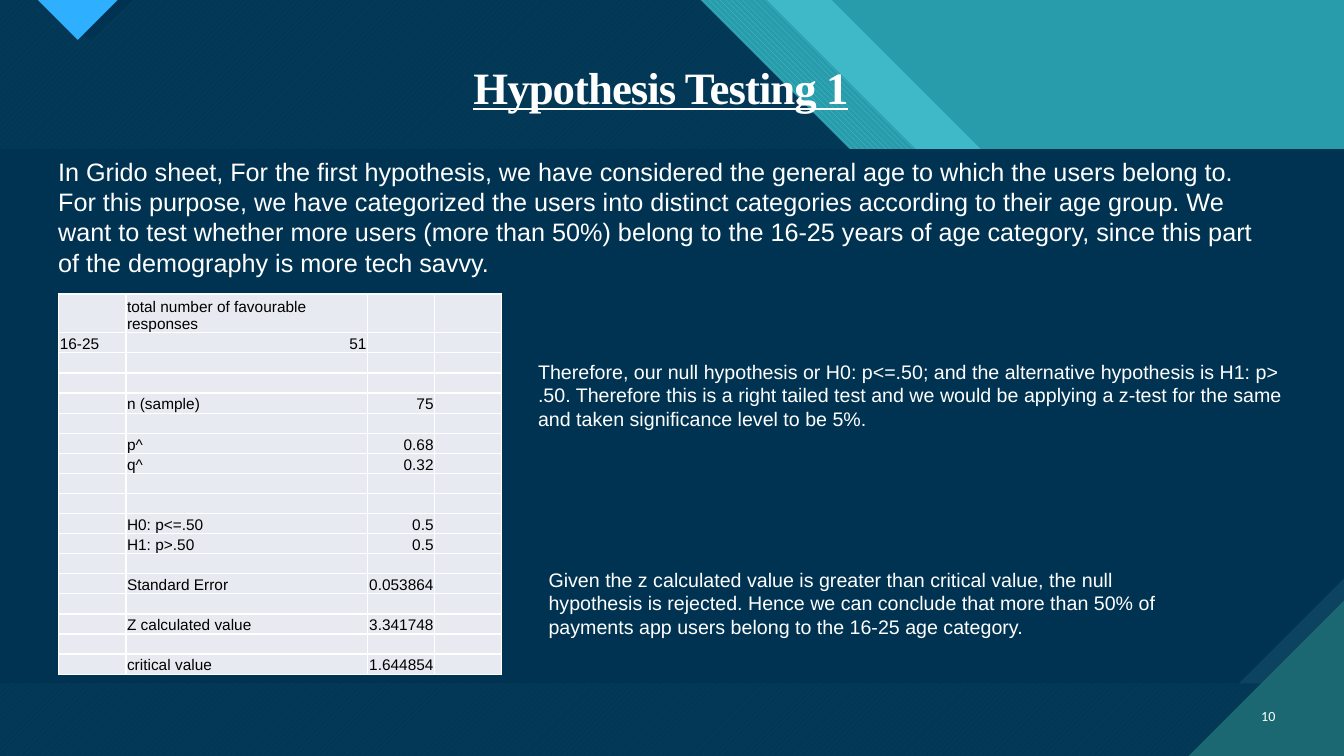
"""Build the hypothesis testing slide with its banner, results table and notes."""
from typing import NamedTuple

from lxml import etree
from pptx import Presentation
from pptx.dml.color import RGBColor
from pptx.enum.dml import MSO_PATTERN
from pptx.enum.shapes import MSO_SHAPE
from pptx.enum.text import MSO_ANCHOR, PP_ALIGN
from pptx.oxml.ns import qn
from pptx.shapes.autoshape import Shape
from pptx.slide import Slide
from pptx.table import _Cell
from pptx.text.text import TextFrame
from pptx.util import Pt

PX = 9525
WIDE, HIGH, BEND = 1280, 720, 285
LEFT, MID, RIGHT = PP_ALIGN.LEFT, PP_ALIGN.CENTER, PP_ALIGN.RIGHT
TOP, CENTRE, BASE = MSO_ANCHOR.TOP, MSO_ANCHOR.MIDDLE, MSO_ANCHOR.BOTTOM
DOWN, UP = MSO_PATTERN.WIDE_DOWNWARD_DIAGONAL, MSO_PATTERN.WIDE_UPWARD_DIAGONAL
SNIP = MSO_SHAPE.SNIP_1_RECTANGLE
COLORS = {
    "teal": "299CAB", "aqua": "47C3D3", "pine": "1B6872", "navy": "003352",
    "slate": "0C4360", "blue": "2FAFFF", "cell": "E7EAF0",
    "white": "FFFFFF", "black": "000000",
}


class Band(NamedTuple):
    start: int
    turn: int
    color: str
    back: str = ""
    pattern: MSO_PATTERN | None = None
    alpha: int = 100


class Facet(NamedTuple):
    points: list[tuple[int, int]]
    color: str


class Note(NamedTuple):
    box: tuple[int, int, int, int]
    text: str
    size: int
    font: str = "Arial"
    align: PP_ALIGN = LEFT
    anchor: MSO_ANCHOR = TOP


BANDS = [
    Band(792, 1185, "aqua", alpha=74),
    Band(730, 1137, "aqua", "teal", DOWN),
    Band(667, 1073, "aqua", "pine", UP),
    Band(667, 1073, "navy", alpha=90),
]
PANELS = [(0, "slate"), (0.197, "navy")]
FACETS = [
    Facet([(46, 0), (86, 39), (126, 0)], "navy"),
    Facet([(36, 0), (74, 38), (112, 0)], "blue"),
    Facet([(1132, HIGH), (WIDE, HIGH), (WIDE, 572)], "pine"),
]
NOTES = [
    Note((1182, 663, 42, 38), "10", 10, "Calibri", RIGHT, CENTRE),
    Note((46, 144, 1178, 126),
         "In Grido sheet, For the first hypothesis, we have considered the general "
         "age to which the users belong to. For this purpose, we have categorized "
         "the users into distinct categories according to their age group. We want "
         "to test whether more users (more than 50%) belong to the 16-25 years of "
         "age category, since this part of the demography is more tech savvy.", 18),
    Note((513, 536, 634, 78),
         "Given the z calculated value is greater than critical value, the null "
         "hypothesis is rejected. Hence we can conclude that more than 50% of "
         "payments app users belong to the 16-25 age category.", 14),
    Note((503, 338, 732, 78),
         "Therefore, our null hypothesis or H0: p<=.50; and the alternative "
         "hypothesis is H1: p> .50. Therefore this is a right tailed test and we "
         "would be applying a z-test for the same and taken significance level to "
         "be 5%.", 14),
]
COLS = [64, 230, 64, 64]
HEAD, ROW = 37, 19
ROWS = [
    ("", "total number of favourable responses", ""), ("16-25", "51", ""),
    (), (), ("", "n (sample)", "75"), (),
    ("", "p^", "0.68"), ("", "q^", "0.32"), (), (),
    ("", "H0: p<=.50", "0.5"), ("", "H1: p>.50", "0.5"), (),
    ("", "Standard Error", "0.053864"), (),
    ("", "Z calculated value", "3.341748"), (),
    ("", "critical value", "1.644854"),
]


def tint(name: str) -> RGBColor:
    """Return the named colour."""
    return RGBColor.from_string(COLORS[name])


def paint(shape: Shape, color: str, alpha: int = 100) -> None:
    """Give a shape a plain fill without line or shadow."""
    shape.shadow.inherit = False
    shape.line.fill.background()
    shape.fill.solid()
    shape.fill.fore_color.rgb = tint(color)
    if alpha < 100:
        node = shape.fill._xPr.find(".//" + qn("a:srgbClr"))
        etree.SubElement(node, qn("a:alpha"), val=str(alpha * 1000))


def outline(slide: Slide, points: list[tuple[int, int]]) -> Shape:
    """Draw a closed polygon."""
    pen = slide.shapes.build_freeform(*points[0], scale=PX)
    pen.add_line_segments(points[1:], close=True)
    return pen.convert_to_shape()


def draw_band(slide: Slide, band: Band) -> None:
    """Draw a backdrop layer with two slanted edges."""
    shape = outline(slide, [
        (0, 0), (band.start, 0), (band.start + BEND, BEND), (band.turn, BEND),
        (WIDE, BEND + WIDE - band.turn), (WIDE, HIGH), (0, HIGH)])
    paint(shape, band.color, band.alpha)
    if band.pattern is not None:
        shape.fill.patterned()
        shape.fill.pattern = band.pattern
        shape.fill.fore_color.rgb = tint(band.color)
        shape.fill.back_color.rgb = tint(band.back)


def draw_panel(slide: Slide, cut: float, color: str) -> None:
    """Draw the middle panel with its lower right corner cut."""
    shape = slide.shapes.add_shape(SNIP, 0, 142 * PX, WIDE * PX, 509 * PX)
    shape.adjustments[0] = cut
    shape._element.spPr.xfrm.set("flipV", "1")
    paint(shape, color)


def style(frame: TextFrame, size: int, font: str, color: str, align: PP_ALIGN) -> None:
    """Format all runs of a text frame."""
    for par in frame.paragraphs:
        par.alignment = align
        for run in par.runs:
            run.font.size = Pt(size)
            run.font.name = font
            run.font.color.rgb = tint(color)


def draw_note(slide: Slide, note: Note) -> None:
    """Draw a wrapped text box."""
    frame = slide.shapes.add_textbox(*(n * PX for n in note.box)).text_frame
    frame.word_wrap = True
    frame.vertical_anchor = note.anchor
    frame.text = note.text
    style(frame, note.size, note.font, "white", note.align)


def fill_cell(cell: _Cell, text: str, align: PP_ALIGN) -> None:
    """Set the text, edges and fill of a table cell."""
    cell.margin_left = cell.margin_right = cell.margin_top = PX
    cell.margin_bottom = 0
    cell.vertical_anchor = BASE
    cell.text = text
    style(cell.text_frame, 11, "Arial", "black", align)
    if not text:
        par = cell.text_frame.paragraphs[0]._p
        etree.SubElement(par, qn("a:endParaRPr"), sz="1100")
    props = cell._tc.get_or_add_tcPr()
    for side in ("lnL", "lnR", "lnT", "lnB"):
        edge = etree.SubElement(props, qn("a:" + side), w=str(Pt(1)))
        solid = etree.SubElement(edge, qn("a:solidFill"))
        etree.SubElement(solid, qn("a:srgbClr"), val=COLORS["white"])
    cell.fill.solid()
    cell.fill.fore_color.rgb = tint("cell")


def draw_table(slide: Slide) -> None:
    """Draw the table of test results."""
    high = HEAD + ROW * (len(ROWS) - 1)
    box = (56 * PX, 280 * PX, sum(COLS) * PX, high * PX)
    table = slide.shapes.add_table(len(ROWS), len(COLS), *box).table
    table.first_row = table.horz_banding = False
    for col, wide in zip(table.columns, COLS):
        col.width = wide * PX
    for i, texts in enumerate(ROWS):
        table.rows[i].height = (ROW if i else HEAD) * PX
        for j in range(len(COLS)):
            text = texts[j] if j < len(texts) else ""
            number = j and text.replace(".", "").isdigit()
            fill_cell(table.cell(i, j), text, RIGHT if number else LEFT)


def set_title(slide: Slide) -> None:
    """Place the title in front of the backdrop and format it."""
    title = slide.shapes.title
    slide.shapes._spTree.append(title._element)
    title.left, title.top, title.width, title.height = (
        n * PX for n in (255, 57, 749, 57))
    frame = title.text_frame
    frame.text = "Hypothesis Testing 1"
    frame.vertical_anchor = CENTRE
    style(frame, 32, "Times New Roman", "white", MID)
    par = frame.paragraphs[0]
    par.line_spacing = 0.9
    run = par.runs[0]
    run.font.bold = run.font.underline = True
    run._r.get_or_add_rPr().set("spc", "-70")


def main() -> None:
    """Build and save the slide."""
    deck = Presentation()
    deck.slide_width, deck.slide_height = WIDE * PX, HIGH * PX
    slide = deck.slides.add_slide(deck.slide_layouts[5])
    slide.background.fill.solid()
    slide.background.fill.fore_color.rgb = tint("teal")
    for band in BANDS:
        draw_band(slide, band)
    for cut, color in PANELS:
        draw_panel(slide, cut, color)
    for facet in FACETS:
        paint(outline(slide, facet.points), facet.color)
    set_title(slide)
    draw_table(slide)
    for note in NOTES:
        draw_note(slide, note)
    deck.save("out.pptx")


if __name__ == "__main__":
    main()
